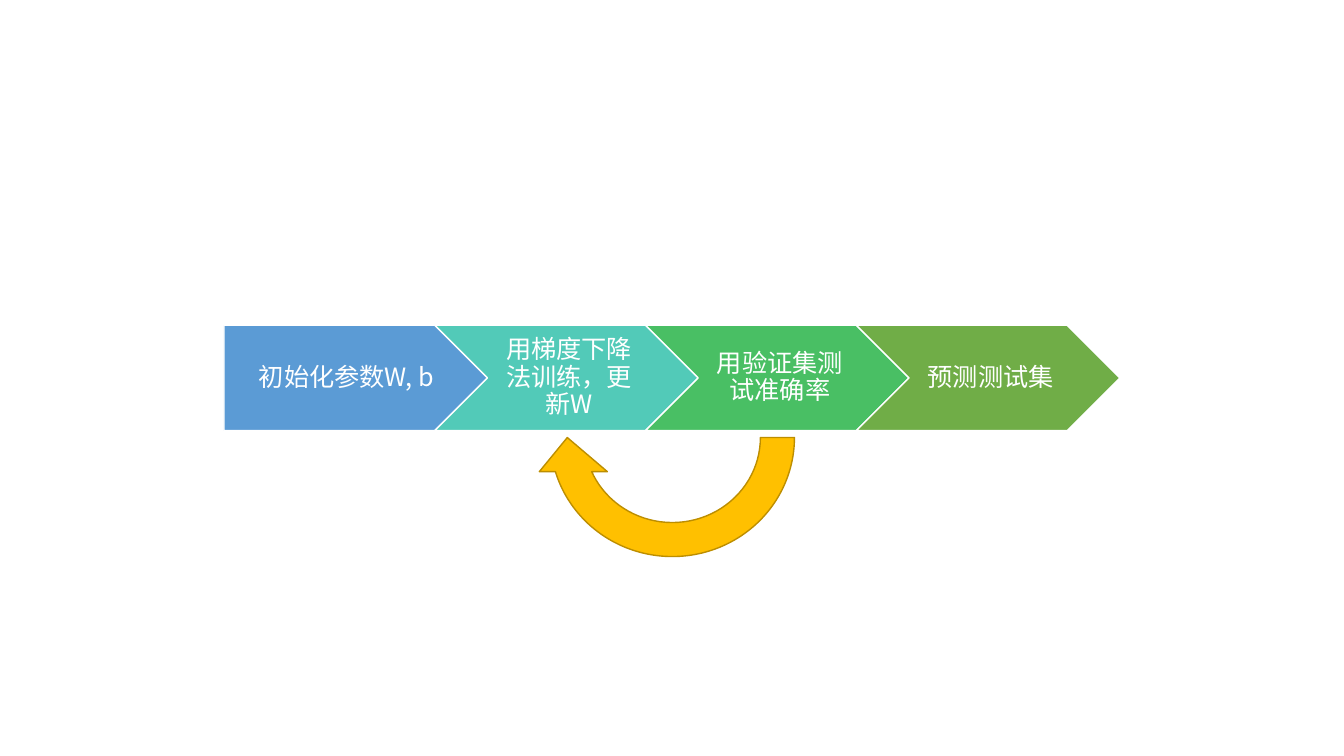
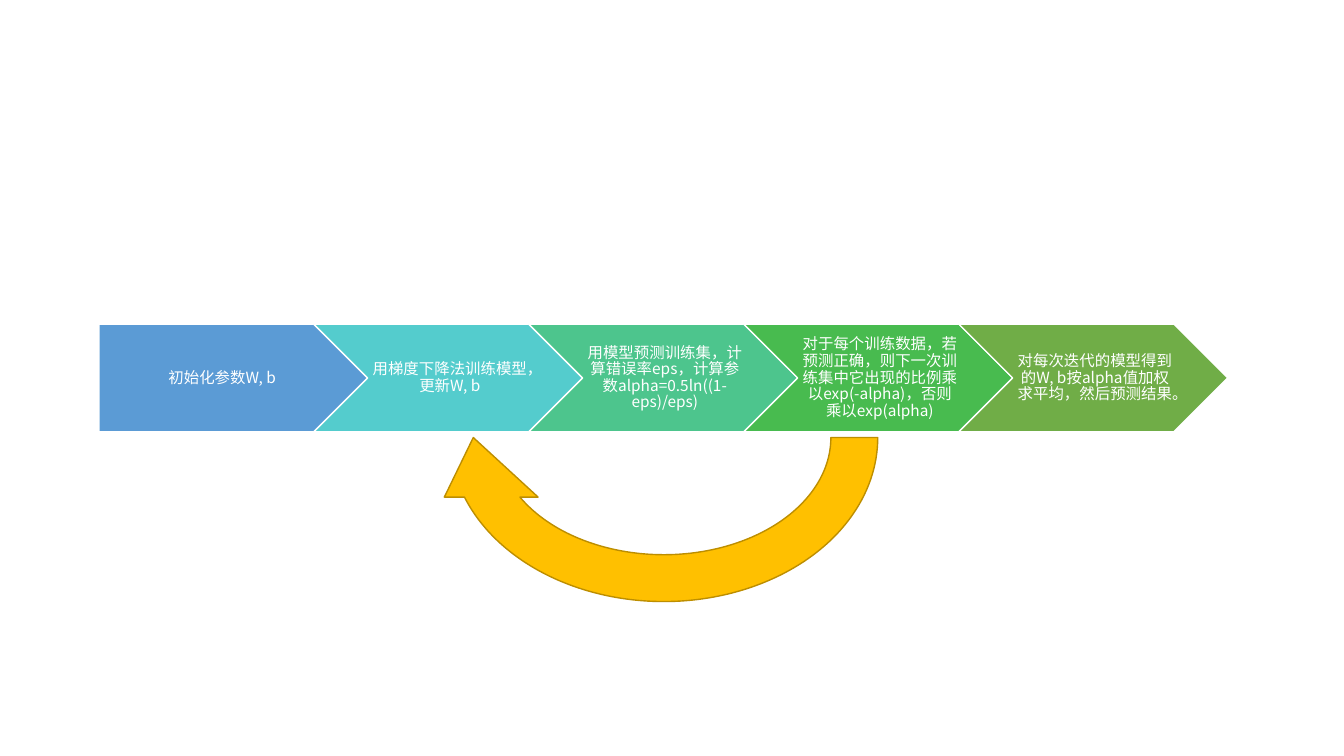
from dataclasses import dataclass
from lxml import etree
from pptx import Presentation
from pptx import util as u
from pptx.dml import color
from pptx.enum import shapes, text
from pptx.oxml import ns


@dataclass(frozen=True)
class Theme:
    font: str = "Noto Sans CJK SC"
    white: str = "FFFFFF"
    loop_fill: str = "FFC000"
    loop_line: str = "BD8E00"
    line_width: float = 1
    line_spacing: float = 0.9
    large: int = 18
    small: int = 11


THEME = Theme()
SLIDE_WIDTH, SLIDE_HEIGHT = 960, 540
STEP_ASPECT = 0.4
STEP_PITCH = 0.8
LOOP_CENTER_Y = 312.5

PROCESSES = [
    {
        "left": 160, "step_width": 188.2, "size": THEME.large,
        "steps": [
            ("初始化参数W, b", "5B9BD5"),
            ("用梯度下降法训练,更新W".replace(",", ","), "52CAB8"),
            ("用验证集测试准确率", "49BF64"),
            ("预测测试集", "70AD47"),
        ],
        "loop": (380.9, 198.7, 194.4),
    },
    {
        "left": 70.6, "step_width": 192, "size": THEME.small,
        "steps": [
            ("初始化参数W, b", "5B9BD5"),
            ("用梯度下降法训练模型\uff0c更新W, b", "54CCCD"),
            ("用模型预测训练集\uff0c计算错误率eps\uff0c计算参数alpha=0.5ln((1-eps)/eps)", "4DC58D"),
            ("对于每个训练数据\uff0c若预测正确\uff0c则下一次训练集中它出现的比例"
             "乘以exp(-alpha)\uff0c否则乘以exp(alpha)", "48BB4F"),
            ("对每次迭代的模型得到的W, b按alpha值加权求平均\uff0c然后预测结果。", "70AD47"),
        ],
        "loop": (304.6, 339.1, 267.8),
    },
]
PROCESSES[0]["steps"][1] = ("用梯度下降法训练\uff0c更新W", "52CAB8")


def add_block(parent, kind, left, top, width, height, fill, line):
    shape = parent.add_shape(kind, u.Pt(left), u.Pt(top), u.Pt(width), u.Pt(height))
    shape.shadow.inherit = False
    shape.fill.solid()
    shape.fill.fore_color.rgb = color.RGBColor.from_string(fill)
    shape.line.color.rgb = color.RGBColor.from_string(line)
    shape.line.width = u.Pt(THEME.line_width)
    return shape


def write_label(shape, label, size, left_inset):
    frame = shape.text_frame
    frame.word_wrap = True
    frame.vertical_anchor = text.MSO_ANCHOR.MIDDLE
    frame.margin_left = u.Pt(size * left_inset)
    frame.margin_right = u.Pt(size * 0.105)
    frame.margin_top = frame.margin_bottom = u.Pt(size * 0.21)
    paragraph = frame.paragraphs[0]
    paragraph.text = label
    paragraph.alignment = text.PP_ALIGN.CENTER
    paragraph.line_spacing = THEME.line_spacing
    paragraph.font.size = u.Pt(size)
    paragraph.font.name = THEME.font
    paragraph.font.color.rgb = color.RGBColor.from_string(THEME.white)
    defaults = paragraph._p.get_or_add_pPr().find(ns.qn("a:defRPr"))
    etree.SubElement(defaults, ns.qn("a:ea"), typeface=THEME.font)


def add_steps(slide, process):
    group = slide.shapes.add_group_shape()
    width = process["step_width"]
    height = width * STEP_ASPECT
    top = (SLIDE_HEIGHT - height) / 2
    for index, (label, fill) in enumerate(process["steps"]):
        first = index == 0
        kind = shapes.MSO_SHAPE.PENTAGON if first else shapes.MSO_SHAPE.CHEVRON
        left = process["left"] + index * width * STEP_PITCH
        step = add_block(group.shapes, kind, left, top, width, height, fill, THEME.white)
        write_label(step, label, process["size"], 0.42 if first else 0.315)


def add_loop(slide, left, width, height):
    loop = add_block(slide.shapes, shapes.MSO_SHAPE.CIRCULAR_ARROW, left,
                     LOOP_CENTER_Y - height / 2, width, height,
                     THEME.loop_fill, THEME.loop_line)
    loop.rotation = 180


presentation = Presentation()
presentation.slide_width = u.Pt(SLIDE_WIDTH)
presentation.slide_height = u.Pt(SLIDE_HEIGHT)
for process in PROCESSES:
    slide = presentation.slides.add_slide(presentation.slide_layouts[6])
    add_steps(slide, process)
    add_loop(slide, *process["loop"])
presentation.save("out.pptx")
